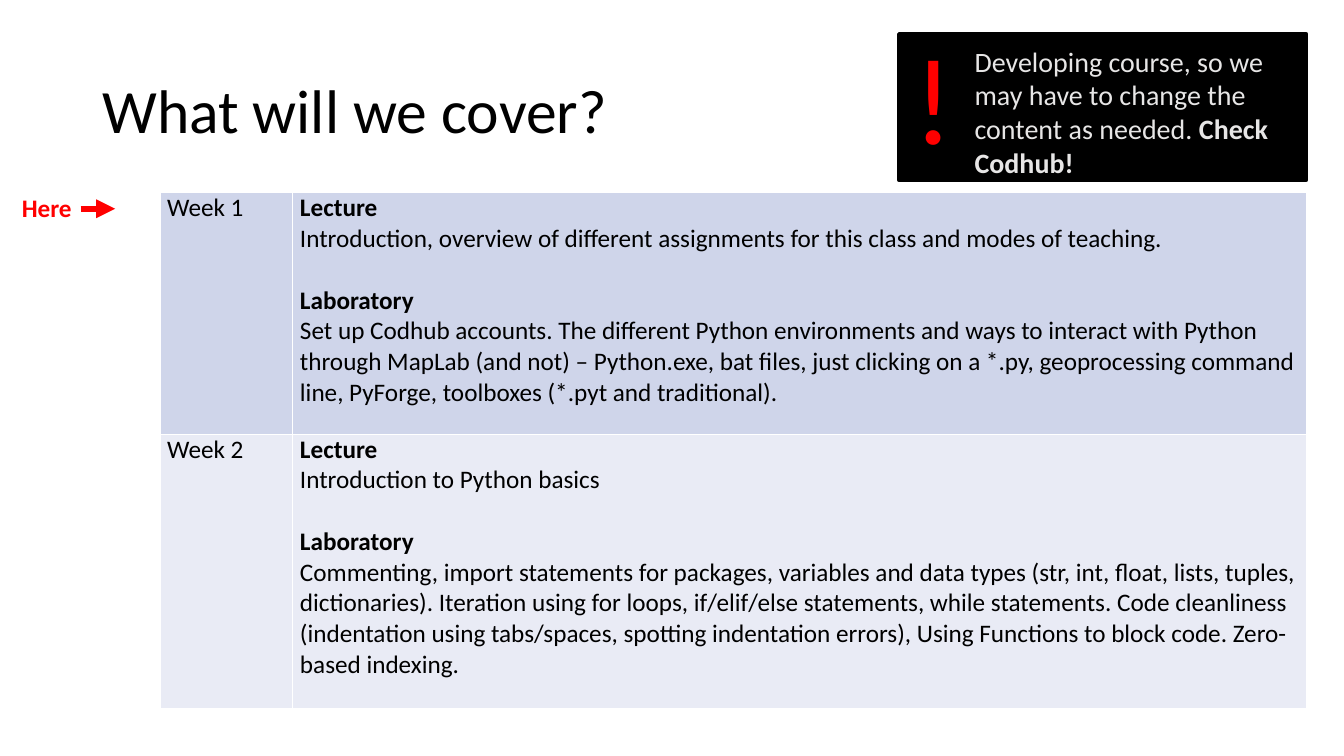
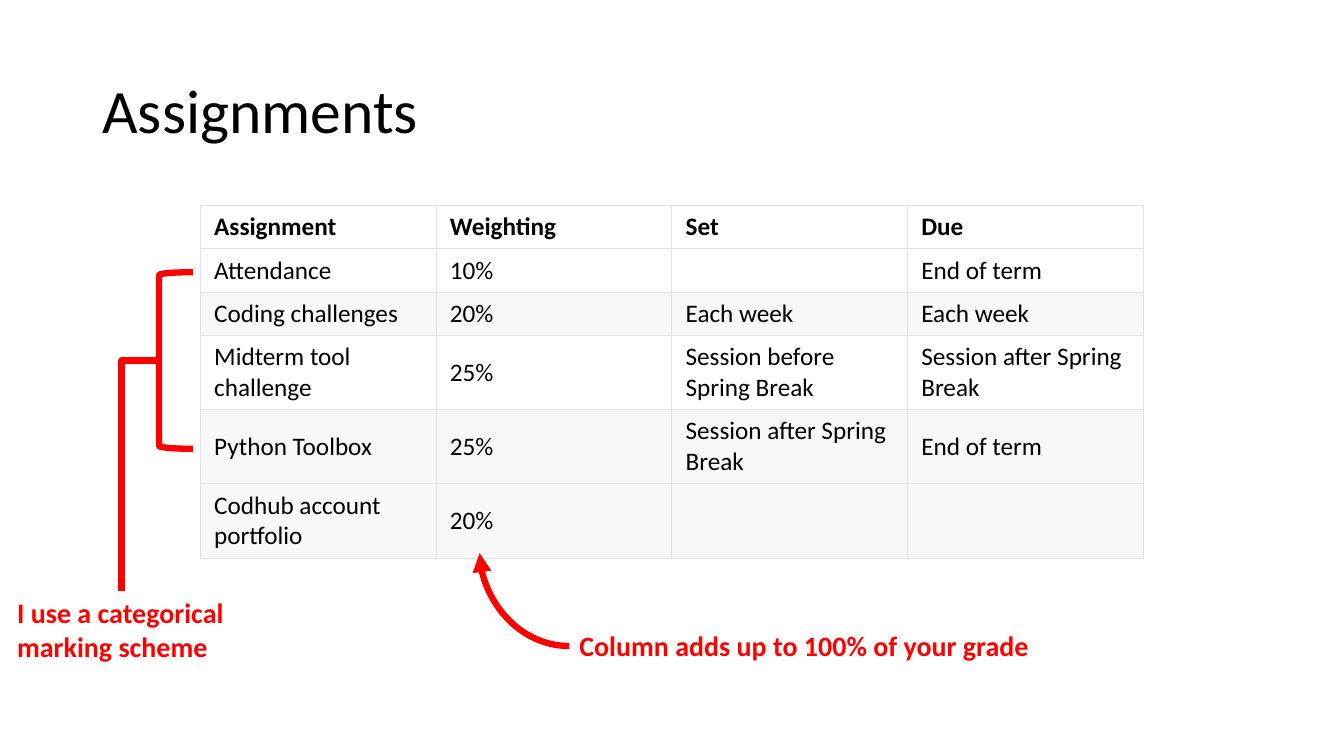
from lxml.etree import SubElement
from pptx import Presentation
from pptx.dml.color import RGBColor
from pptx.enum.shapes import MSO_CONNECTOR as LINK, MSO_SHAPE as SHAPE
from pptx.enum.text import MSO_ANCHOR as ANCHOR
from pptx.oxml.ns import qn
from pptx.util import Cm, Pt

FONT = "Calibri"
BLACK, WHITE, RED, PALE = "000000", "FFFFFF", "FF0000", "E7E6E6"
WEEK_FILLS = ("CFD5EA", "E9EBF5")
STRIPE, GRID = "F6F8FA", "DFE2E5"
ACCENT_WIDTH = 4.5

WEEKS = [
    ("Week 1",
     "Introduction, overview of different assignments for this class and modes of teaching.",
     "Set up Codhub accounts. The different Python environments and ways to interact with "
     "Python through MapLab (and not) – Python.exe, bat files, just clicking on a *.py, "
     "geoprocessing command line, PyForge, toolboxes (*.pyt and traditional).",
     6.08),
    ("Week 2",
     "Introduction to Python basics",
     "Commenting, import statements for packages, variables and data types (str, int, float, "
     "lists, tuples, dictionaries). Iteration using for loops, if/elif/else statements, while "
     "statements. Code cleanliness (indentation using tabs/spaces, spotting indentation "
     "errors), Using Functions to block code. Zero-based indexing.",
     6.92),
]

ASSIGNMENTS = [
    (("Assignment", "Weighting", "Set", "Due"), WHITE, 1.09),
    (("Attendance", "10%", "", "End of term"), WHITE, 1.09),
    (("Coding challenges", "20%", "Each week", "Each week"), STRIPE, 1.09),
    (("Midterm tool challenge", "25%", "Session before Spring Break",
      "Session after Spring Break"), WHITE, 1.87),
    (("Python Toolbox", "25%", "Session after Spring Break", "End of term"), STRIPE, 1.87),
    (("Codhub account portfolio", "20%", "", ""), STRIPE, 1.87),
]


def rgb(code):
    """Turn a hex string into a colour."""
    return RGBColor.from_string(code)


def write(frame, paragraphs, size=18, color=BLACK):
    """Fill a text frame with paragraphs, each a list of (text, bold) runs."""
    for index, runs in enumerate(paragraphs):
        paragraph = frame.add_paragraph() if index else frame.paragraphs[0]
        for text, bold in runs:
            run = paragraph.add_run()
            run.text = text
            run.font.name, run.font.size, run.font.bold = FONT, Pt(size), bold
            run.font.color.rgb = rgb(color)


def add_text(slide, box, paragraphs, size, color, anchor=ANCHOR.TOP):
    """Place a wrapping text box and return its frame."""
    frame = slide.shapes.add_textbox(*map(Cm, box)).text_frame
    frame.word_wrap = True
    frame.vertical_anchor = anchor
    write(frame, paragraphs, size, color)
    return frame


def add_title(slide, text):
    """Place the slide title."""
    frame = add_text(slide, (2.33, 1.02, 29.21, 3.68), [[(text, False)]], 44, BLACK,
                     ANCHOR.MIDDLE)
    frame.paragraphs[0].line_spacing = 0.9


def add_link(slide, start, end, kind=LINK.STRAIGHT, preset="line", arrow=False):
    """Draw a red connector, with an arrowhead at its end if asked."""
    link = slide.shapes.add_connector(kind, *map(Cm, start + end))
    link.line.color.rgb = rgb(RED)
    link.line.width = Pt(ACCENT_WIDTH)
    properties = link._element.spPr
    properties.find(qn("a:prstGeom")).set("prst", preset)
    if arrow:
        SubElement(properties.find(qn("a:ln")), qn("a:tailEnd"), type="triangle")
    SubElement(properties, qn("a:effectLst"))


def add_grid(slide, corner, widths, heights):
    """Place a plain table and return it."""
    box = (*corner, sum(widths), sum(heights))
    table = slide.shapes.add_table(len(heights), len(widths), *map(Cm, box)).table
    table.first_row = table.horz_banding = False
    for column, width in zip(table.columns, widths):
        column.width = Cm(width)
    for row, height in zip(table.rows, heights):
        row.height = Cm(height)
    return table


def style_cell(cell, fill, border, width, margins):
    """Give a cell its borders, fill and (side, top and bottom) margins."""
    properties = cell._tc.get_or_add_tcPr()
    for side in ("L", "R", "T", "B"):
        line = SubElement(properties, qn(f"a:ln{side}"), w=str(Pt(width)))
        SubElement(SubElement(line, qn("a:solidFill")), qn("a:srgbClr"), val=border)
    cell.fill.solid()
    cell.fill.fore_color.rgb = rgb(fill)
    cell.margin_left = cell.margin_right = Cm(margins[0])
    cell.margin_top = cell.margin_bottom = Cm(margins[1])


def add_notice(slide, box):
    """Place the black notice with its exclamation mark."""
    left, top, width, height = box
    panel = slide.shapes.add_shape(SHAPE.RECTANGLE, *map(Cm, box))
    panel.shadow.inherit = False
    panel.fill.solid()
    panel.fill.fore_color.rgb = panel.line.color.rgb = rgb(BLACK)
    panel.line.width = Pt(3)
    message = [("Developing course, so we may have to change the content as needed. ", False),
               ("Check Codhub!", True)]
    add_text(slide, (left + 1.65, top + 0.13, width - 1.65, height), [message], 20, PALE)
    add_text(slide, (left + 0.12, top - 0.45, 1.53, 4.01), [[("!", False)]], 88, RED)


def add_here_marker(slide, box):
    """Place the word Here with an arrow to its right."""
    left, top, width, height = box
    add_text(slide, box, [[("Here", True)]], 18, RED)
    middle = top + height / 2 + 0.03
    add_link(slide, (left + 1.73, middle), (left + 2.6, middle), arrow=True)


def add_schedule(slide, corner):
    """Place the table of weeks."""
    table = add_grid(slide, corner, (3.35, 25.55), [week[-1] for week in WEEKS])
    for row, (week, lecture, laboratory, _) in enumerate(WEEKS):
        name, content = table.cell(row, 0), table.cell(row, 1)
        for cell in (name, content):
            style_cell(cell, WEEK_FILLS[row], WHITE, 1, (0.18, 0))
        write(name.text_frame, [[(week, False)]])
        write(content.text_frame, [[("Lecture", True)], [(lecture, False)],
                                   [("Laboratory", True)], [(laboratory, False)]])
        content.text_frame.paragraphs[2].space_before = Pt(22)


def add_assignments(slide, corner):
    """Place the table of assignments."""
    table = add_grid(slide, corner, [5.94] * 4, [height for *_, height in ASSIGNMENTS])
    for row, (texts, fill, _) in enumerate(ASSIGNMENTS):
        for column, text in enumerate(texts):
            cell = table.cell(row, column)
            style_cell(cell, fill, GRID, 0.75, (0.35, 0.16))
            cell.vertical_anchor = ANCHOR.MIDDLE
            if text:
                write(cell.text_frame, [[(text, row == 0)]])


def add_total_note(slide, box):
    """Place the note on the weights with a curved arrow up to their column."""
    left, top, width, height = box
    add_text(slide, box, [[("Column adds up to 100% of your grade", True)]], 20, RED)
    middle = top + height / 2
    add_link(slide, (left, middle), (left - 2.26, middle - 2.34), LINK.CURVE,
             "curvedConnector2", arrow=True)


def add_marking_note(slide, box, bracket_box):
    """Place the marking note and tie it to a bracket around the marked rows."""
    add_text(slide, box, [[("I use a categorical", True)], [("marking scheme", True)]], 20, RED)
    bracket = slide.shapes.add_shape(SHAPE.LEFT_BRACKET, *map(Cm, bracket_box))
    bracket.shadow.inherit = False
    bracket.fill.background()
    bracket.line.color.rgb = rgb(RED)
    bracket.line.width = Pt(ACCENT_WIDTH)
    left, top, _, height = bracket_box
    add_link(slide, (left, top + height / 2), (box[0] + box[2] / 2, box[1]), LINK.ELBOW,
             "bentConnector2")


def build_cover_slide(slide):
    """Build the slide on what the course covers."""
    add_title(slide, "What will we cover?")
    add_here_marker(slide, (0.3, 4.72, 2.57, 1.02))
    add_notice(slide, (22.66, 0.86, 10.26, 3.68))
    add_schedule(slide, (4.03, 4.86))


def build_assignments_slide(slide):
    """Build the slide on assignments and their weights."""
    add_title(slide, "Assignments")
    add_assignments(slide, (5.05, 5.18))
    add_total_note(slide, (14.35, 15.72, 12.5, 1.12))
    add_marking_note(slide, (0.18, 14.88, 5.77, 1.96), (4.01, 6.86, 0.86, 4.45))


def main():
    """Build and save the presentation."""
    deck = Presentation()
    deck.slide_width, deck.slide_height = Cm(33.87), Cm(19.05)
    for build in (build_cover_slide, build_assignments_slide):
        build(deck.slides.add_slide(deck.slide_layouts[6]))
    deck.save("out.pptx")


if __name__ == "__main__":
    main()
